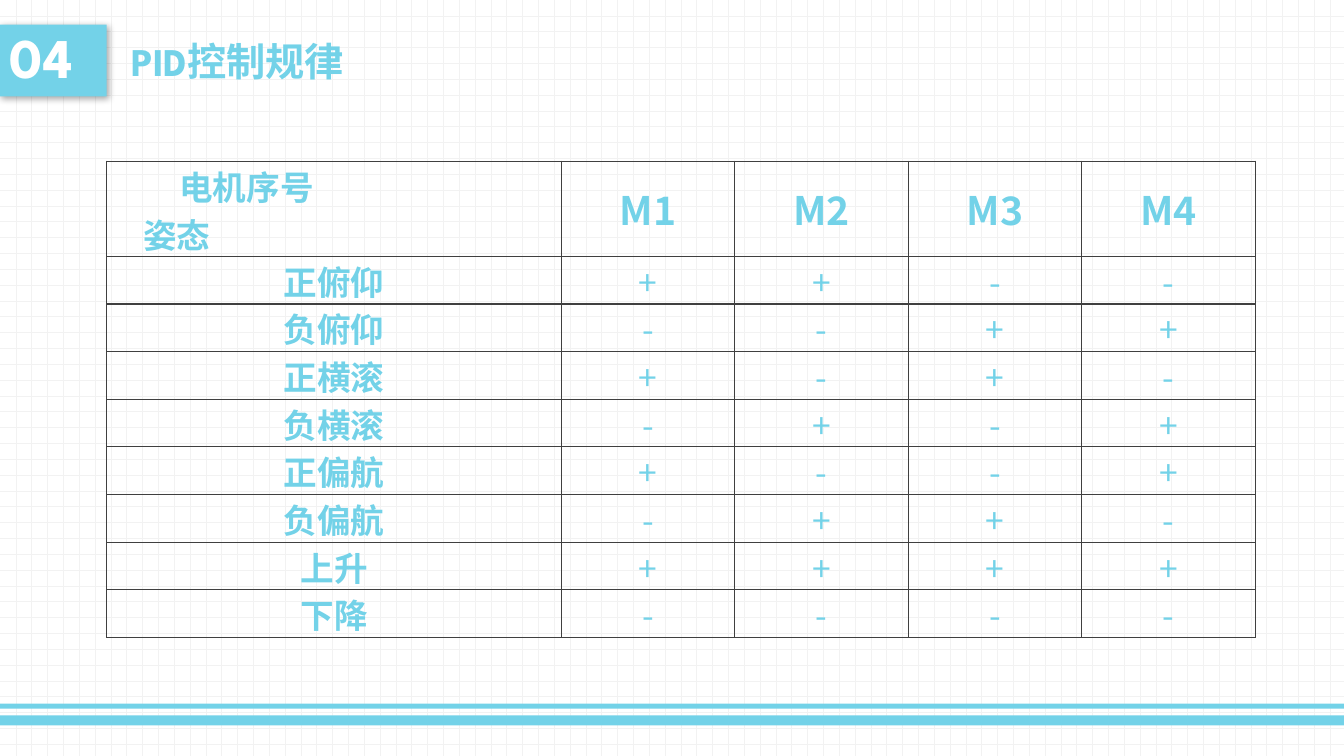
"""Build the PID control rules slide with its motor sign table."""
from lxml import etree
from pptx import Presentation
from pptx.dml.color import RGBColor
from pptx.enum.dml import MSO_PATTERN
from pptx.enum.shapes import MSO_SHAPE
from pptx.enum.text import MSO_ANCHOR, PP_ALIGN
from pptx.oxml import parse_xml
from pptx.oxml.ns import nsdecls, qn
from pptx.util import Cm, Pt

RECT = MSO_SHAPE.RECTANGLE
DOT_GRID = MSO_PATTERN.DOTTED_GRID
MIDDLE, TOP = MSO_ANCHOR.MIDDLE, MSO_ANCHOR.TOP
LEFT, CENTER, JUSTIFY = PP_ALIGN.LEFT, PP_ALIGN.CENTER, PP_ALIGN.JUSTIFY
COLORS = {"sky": "73D2E8", "white": "FFFFFF", "grid": "F2F2F2", "border": "404040"}
HEADING_FONT, TABLE_FONT = "League Spartan", "Noto Sans CJK SC"


def color(name):
    return RGBColor.from_string(COLORS[name])


def write(p, text, size=24, font=TABLE_FONT, fill="sky", bold=True, align=CENTER,
          indent=0, tab=None):
    p.alignment = align
    pPr = p._p.get_or_add_pPr()
    if indent:
        pPr.set("indent", str(Cm(indent)))
    if tab:
        tabs = etree.SubElement(pPr, qn("a:tabLst"))
        etree.SubElement(tabs, qn("a:tab"), pos=str(Cm(tab)), algn="l")
    r = p.add_run()
    r.text = text
    r.font.size, r.font.bold, r.font.name = Pt(size), bold, font
    r.font.color.rgb = color(fill)
    etree.SubElement(r._r.get_or_add_rPr(), qn("a:ea"), typeface=font)


prs = Presentation()
prs.slide_width, prs.slide_height = Cm(33.87), Cm(19.05)
s = prs.slides.add_slide(prs.slide_layouts[6])
bg = s.background.fill
bg.patterned()
bg.pattern = DOT_GRID
bg.fore_color.rgb, bg.back_color.rgb = color("grid"), color("white")

for left, top, width, height in [(0, 18.03, 33.87, 0.25), (0, 17.73, 33.87, 0.13),
                                 (0, 0.62, 2.69, 1.81)]:
    sp = s.shapes.add_shape(RECT, Cm(left), Cm(top), Cm(width), Cm(height))
    sp.shadow.inherit = False
    sp.fill.solid()
    sp.fill.fore_color.rgb = color("sky")
    sp.line.fill.background()

badge = sp
badge._element.spPr.find(qn("a:effectLst")).append(parse_xml(
    f'<a:outerShdw {nsdecls("a")} blurRad="63500" dist="25400" dir="2700000">'
    '<a:srgbClr val="000000"><a:alpha val="35000"/></a:srgbClr></a:outerShdw>'))
title = s.shapes.add_textbox(Cm(3.07), Cm(0.62), Cm(17.88), Cm(1.81))
for sp, text, size, fill in [(badge, "04", 40, "white"), (title, "PID控制规律", 28, "sky")]:
    tf = sp.text_frame
    tf.word_wrap = True
    tf.vertical_anchor = MIDDLE
    write(tf.paragraphs[0], text, size=size, font=HEADING_FONT, fill=fill, align=LEFT)
badge.text_frame.paragraphs[0].line_spacing = 0.9

motors = ["M1", "M2", "M3", "M4"]
signs = {"正俯仰": "++--", "负俯仰": "--++", "正横滚": "+-+-", "负横滚": "-+-+",
         "正偏航": "+--+", "负偏航": "-++-", "上升": "++++", "下降": "----"}
rows = [["", *motors]] + [[pose, *marks] for pose, marks in signs.items()]
table = s.shapes.add_table(len(rows), len(rows[0]), Cm(2.69), Cm(4.06),
                           Cm(28.94), Cm(12)).table
table.first_row = table.horz_banding = False
for j, column in enumerate(table.columns):
    column.width = Cm(4.37 if j else 11.46)
for i, row in enumerate(rows):
    table.rows[i].height = Cm(1.2 if i else 2.4)
    for j, text in enumerate(row):
        cell = table.cell(i, j)
        cell.margin_left = cell.margin_right = Cm(0.18)
        cell.margin_top = cell.margin_bottom = 0
        cell.vertical_anchor = TOP if i or not j else MIDDLE
        cell.fill.background()
        for k, side in enumerate(["lnL", "lnR", "lnT", "lnB"]):
            cell._tc.get_or_add_tcPr().insert(k, parse_xml(
                f'<a:{side} {nsdecls("a")} w="{Pt(1)}"><a:solidFill>'
                f'<a:srgbClr val="{COLORS["border"]}"/></a:solidFill></a:{side}>'))
        if text:
            write(cell.text_frame.paragraphs[0], text, size=24 if i else 28,
                  bold=i == 0 or j == 0)

corner = table.cell(0, 0).text_frame
write(corner.paragraphs[0], "\t电机序号", align=JUSTIFY, tab=1.65)
write(corner.add_paragraph(), "姿态", align=JUSTIFY, indent=0.74, tab=2.01)

prs.save("out.pptx")
